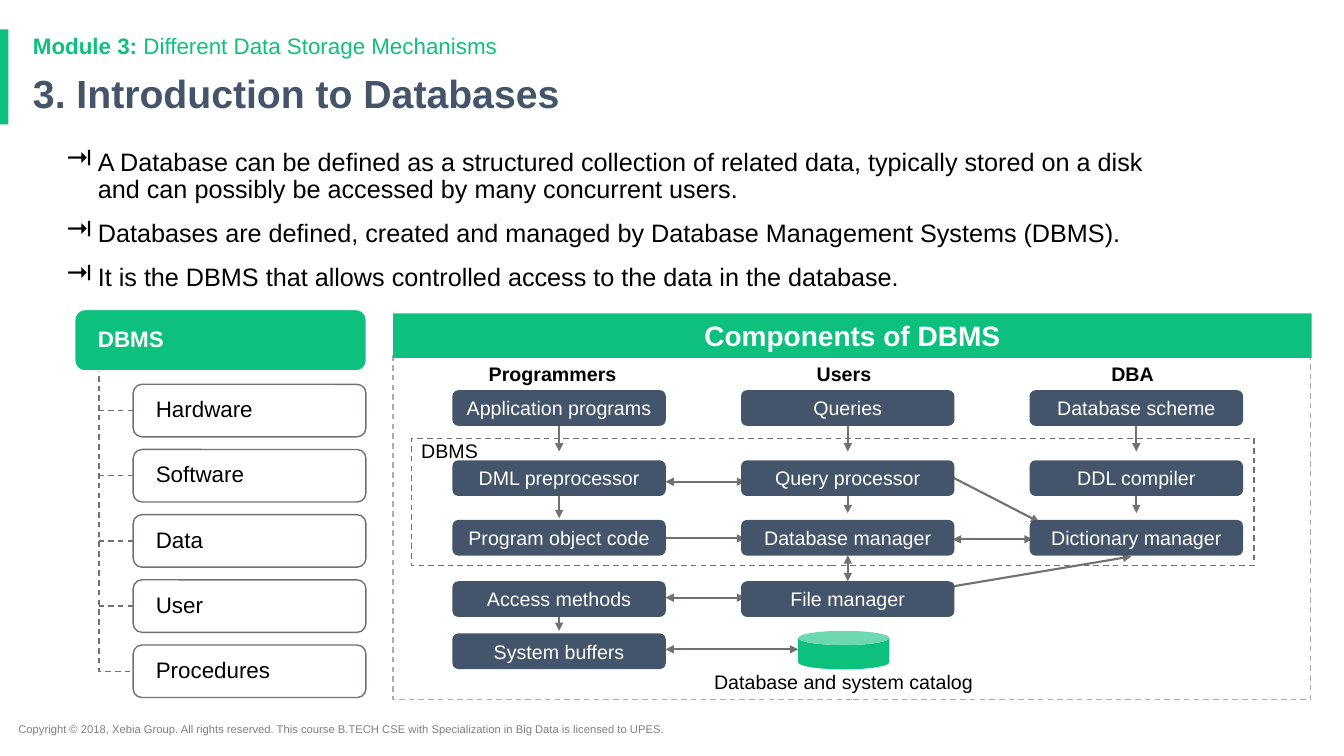
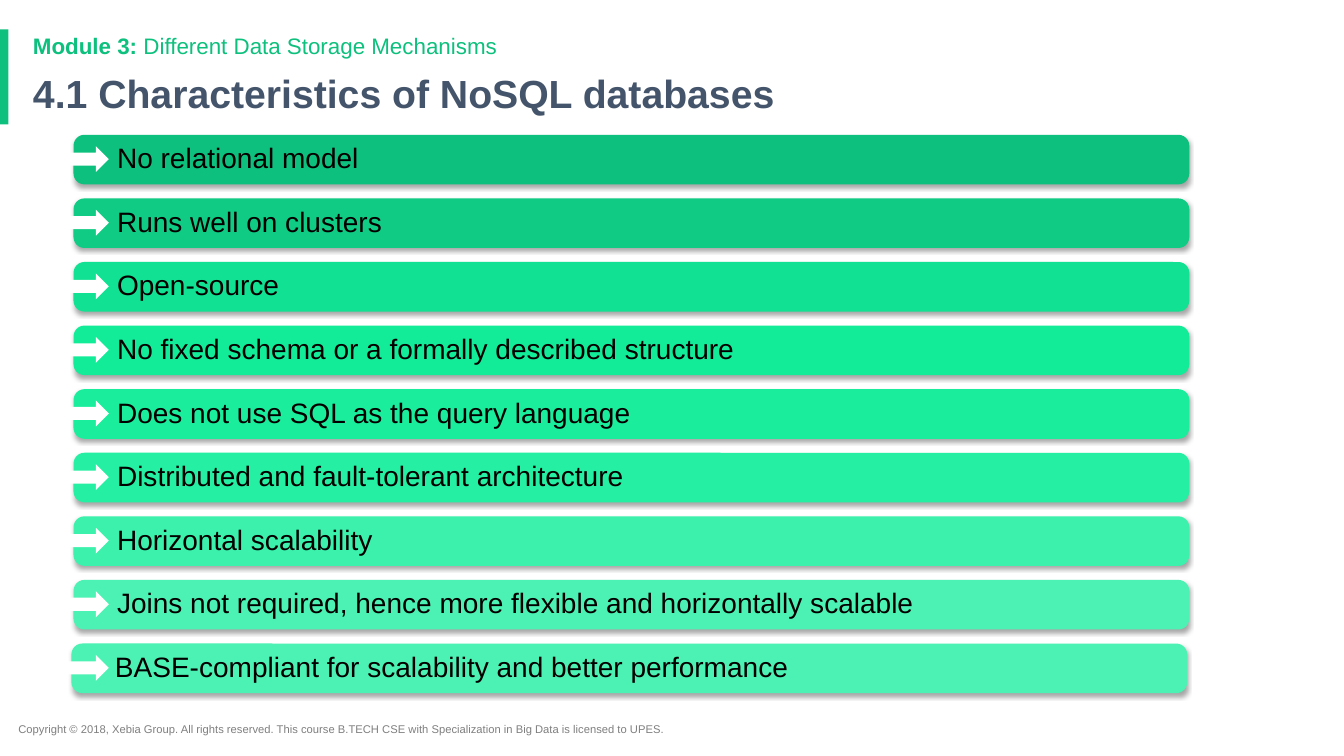
"""Build two course slides: the parts of a DBMS and the traits of NoSQL databases."""
from dataclasses import dataclass

from lxml.etree import SubElement
from pptx import Presentation
from pptx.dml.color import RGBColor
from pptx.enum.dml import MSO_LINE
from pptx.enum.shapes import MSO_CONNECTOR, MSO_SHAPE
from pptx.enum.text import MSO_ANCHOR, PP_ALIGN
from pptx.oxml.ns import qn
from pptx.util import Inches, Pt


@dataclass(frozen=True)
class Theme:
    font: str = "Arial"
    green: str = "0EC07D"
    navy: str = "44546A"
    gray: str = "757070"
    pale: str = "AEABAB"
    dim: str = "7F7F7F"
    black: str = "000000"
    white: str = "FFFFFF"
    title: int = 28
    head: int = 20
    body: int = 18
    item: int = 16
    node: int = 14
    foot: int = 8
    tight: float = 0.9


look = Theme()
deck = Presentation()
deck.slide_width, deck.slide_height = Inches(13.33), Inches(7.5)
COLS, ROWS = 160, 90
cell = deck.slide_height / ROWS
ROUND, RECT = MSO_SHAPE.ROUNDED_RECTANGLE, MSO_SHAPE.RECTANGLE
LEFT, MID = PP_ALIGN.LEFT, PP_ALIGN.CENTER


def box(page, kind, spot, paras=(), size=look.node, fill=None, edge=None,
        dash=False, align=LEFT, pad=(1.2, 0.6), space=1.0, curve=None):
    area = [round(n * cell) for n in spot]
    if kind is None:
        shape = page.shapes.add_textbox(*area)
    else:
        shape = page.shapes.add_shape(kind, *area)
        shape.shadow.inherit = False
        if fill:
            shape.fill.solid()
            shape.fill.fore_color.rgb = RGBColor.from_string(fill)
        else:
            shape.fill.background()
        if edge:
            shape.line.color.rgb = RGBColor.from_string(edge)
            shape.line.width = Pt(1)
            if dash:
                shape.line.dash_style = MSO_LINE.DASH
        else:
            shape.line.fill.background()
        if curve:
            shape.adjustments[0] = curve
    frame = shape.text_frame
    frame.word_wrap = True
    frame.vertical_anchor = MSO_ANCHOR.TOP if kind is None else MSO_ANCHOR.MIDDLE
    frame.margin_left, frame.margin_top = [round(n * cell) for n in pad]
    frame.margin_right, frame.margin_bottom = 0 if align == LEFT else frame.margin_left, frame.margin_top
    for at, runs in enumerate(paras):
        para = frame.add_paragraph() if at else frame.paragraphs[0]
        para.alignment, para.line_spacing = align, space
        for text, ink, bold in runs:
            run = para.add_run()
            run.text = text
            run.font.name, run.font.size, run.font.bold = look.font, Pt(size), bold
            run.font.color.rgb = RGBColor.from_string(ink)
    return shape


def link(page, ends, width=1.5, dash=False, tips=()):
    wire = page.shapes.add_connector(MSO_CONNECTOR.STRAIGHT, *[round(n * cell) for n in ends])
    wire.line.color.rgb = RGBColor.from_string(look.gray)
    wire.line.width = Pt(width)
    if dash:
        wire.line.dash_style = MSO_LINE.DASH
    for tip in tips:
        SubElement(wire.line._get_or_add_ln(), qn("a:" + tip), type="triangle")
    SubElement(wire._element.spPr, qn("a:effectLst"))


pages = []
for name in ("3. Introduction to Databases", "4.1 Characteristics of NoSQL databases"):
    page = deck.slides.add_slide(deck.slide_layouts[6])
    box(page, RECT, (0, 3.5, 1, 11.3), fill=look.green)
    box(page, None, (1, 85.4, 85.6, 2.9), [[(
        "Copyright © 2018, Xebia Group. All rights reserved. This course B.TECH CSE "
        "with Specialization in Big Data is licensed to UPES.", look.dim, False)]], look.foot)
    box(page, None, (2.75, 8.3, 138, 6.5), [[(name, look.navy, True)]],
        look.title, space=look.tight)
    box(page, None, (2.75, 3.6, 138, 4),
        [[("Module 3:", look.green, True),
          (" Different Data Storage Mechanisms", look.green, False)]],
        look.item, space=look.tight)
    pages.append(page)
intro, traits = pages

facts = (
    "A Database can be defined as a structured collection of related data, typically stored "
    "on a disk and can possibly be accessed by many concurrent users.",
    "Databases are defined, created and managed by Database Management Systems (DBMS).",
    "It is the DBMS that allows controlled access to the data in the database.",
)
body = box(intro, None, (6.75, 17.2, 133.7, 19), [[(fact, look.black, False)] for fact in facts],
           look.body, space=look.tight)
for at, para in enumerate(body.text_frame.paragraphs):
    props = para._p.get_or_add_pPr()
    props.set("marL", str(Inches(0.31)))
    props.set("indent", str(-Inches(0.31)))
    SubElement(SubElement(props, qn("a:buClr")), qn("a:srgbClr"), val=look.black)
    SubElement(props, qn("a:buChar"), char="⇥")
    if at:
        para.space_before = Pt(12)

parts = ("Hardware", "Software", "Data", "User", "Procedures")
stem, leaf, top, step, tall = 11.8, 15.85, 45.75, 7.76, 6.25
base = top + step * (len(parts) - 1) + tall / 2
trace = [(round(x * cell), round(y * cell)) for x, y in ((stem, 43.6), (stem, base), (leaf, base))]
path = intro.shapes.build_freeform(*trace[0])
path.add_line_segments(trace[1:], close=False)
trunk = path.convert_to_shape()
trunk.shadow.inherit = False
trunk.fill.background()
trunk.line.color.rgb = RGBColor.from_string(look.gray)
trunk.line.width = Pt(1)
trunk.line.dash_style = MSO_LINE.DASH
box(intro, ROUND, (8.9, 36.85, 34.7, 7.3), [[("DBMS", look.white, True)]], look.item,
    look.green, look.white, pad=(2.4, 0.3), space=look.tight)
for at, part in enumerate(parts):
    y = top + step * at
    if part != parts[-1]:
        link(intro, (leaf, y + tall / 2, stem, y + tall / 2), 1, True)
    box(intro, ROUND, (leaf, y, 27.7, tall), [[(part, look.black, False)]], look.item,
        look.white, look.gray, pad=(2.4, 0.3), space=look.tight)

box(intro, RECT, (46.8, 42.2, 109.2, 41.1), edge=look.pale, dash=True)
box(intro, MSO_SHAPE.CAN, (95, 75.1, 10.85, 4.6), fill=look.green, curve=0.37)
box(intro, None, (83.5, 79.1, 33.8, 4.2), [[("Database and system catalog", look.black, False)]],
    align=MID, pad=(0, 0.7))

cols = [53.85 + 34.35 * n for n in range(3)]
rows = (46.45, 54.8, 61.9, 69.2, 75.4)
wide, high = 25.4, 4.25
end, both = ("tailEnd",), ("headEnd", "tailEnd")
drops = ((0, 50.65, end), (1, 50.65, end), (2, 50.65, end), (0, 58.6, end),
         (1, 58, end), (2, 58, end), (1, 66.1, both), (0, 72, end))
for col, y, tips in drops:
    x = cols[col] + wide / 2
    link(intro, (x, y, x, y + 3.1), tips=tips)
spans = ((88.7, 71.15, 79.2, 71.15, both), (95, 77.3, 79.2, 77.3, both),
         (88.7, 57.35, 79.2, 57.35, both), (112.55, 56.4, 123.7, 62.15, end),
         (88.7, 64.1, 79.2, 64.1, ("headEnd",)), (134.65, 66.25, 112.55, 69.95, both),
         (122.9, 64.2, 113.4, 64.2, both))
for *ends, tips in spans:
    link(intro, ends, tips=tips)

box(intro, RECT, (48.95, 52.2, 100.3, 15.1), edge=look.gray, dash=True)
box(intro, None, (48.95, 51.6, 13.9, 3), [[("DBMS", look.black, False)]])
nodes = (
    ("Application programs", "Queries", "Database scheme"),
    ("DML preprocessor", "Query processor", "DDL compiler"),
    ("Program object code", "Database manager", "Dictionary manager"),
    ("Access methods", "File manager"),
    ("System buffers",),
)
for y, names in zip(rows, nodes):
    for x, name in zip(cols, names):
        box(intro, ROUND, (x, y, wide, high), [[(name, look.white, False)]],
            fill=look.navy, align=MID, pad=(0, 0))
for x, role in zip(cols, ("Programmers ", "Users", "DBA")):
    box(intro, None, (x - 0.1, 42.5, 24.7, 3), [[(role, look.black, True)]], align=MID)
box(intro, RECT, (46.8, 37.3, 109.3, 5.3), [[("Components of DBMS", look.white, True)]],
    look.head, look.green, align=MID)

bars = (
    ("No relational model", look.green),
    ("Runs well on clusters", "0FCB83"),
    ("Open-source", "11E192"),
    ("No fixed schema or a formally described structure", "12EC99"),
    ("Does not use SQL as the query language", "1AEE9D"),
    ("Distributed and fault-tolerant architecture", "25EFA2"),
    ("Horizontal scalability", "3BF1AC"),
    ("Joins not required, hence more flexible and horizontally scalable", "4CF2B3"),
    ("BASE-compliant for scalability and better performance", "4CF2B3"),
)
for at, (trait, tint) in enumerate(bars):
    y = 16.05 + 7.57 * at
    x = 8.5 if trait == bars[-1][0] else 8.75
    bar = box(traits, ROUND, (x, y, 132.8, 5.9), [[(trait, look.black, False)]], look.head,
              tint, pad=(4.8, 0.6), space=look.tight, curve=0.22)
    glow = SubElement(bar._element.spPr.find(qn("a:effectLst")), qn("a:outerShdw"),
                      blurRad=str(Pt(3)), dist=str(Pt(2)), dir="5400000", rotWithShape="0")
    shade = SubElement(glow, qn("a:srgbClr"), val=look.black)
    SubElement(shade, qn("a:alpha"), val="35000")
    box(traits, MSO_SHAPE.RIGHT_ARROW, (8.05, y + 1.35, 4.9, 3.1), fill=look.white)

deck.save("out.pptx")
